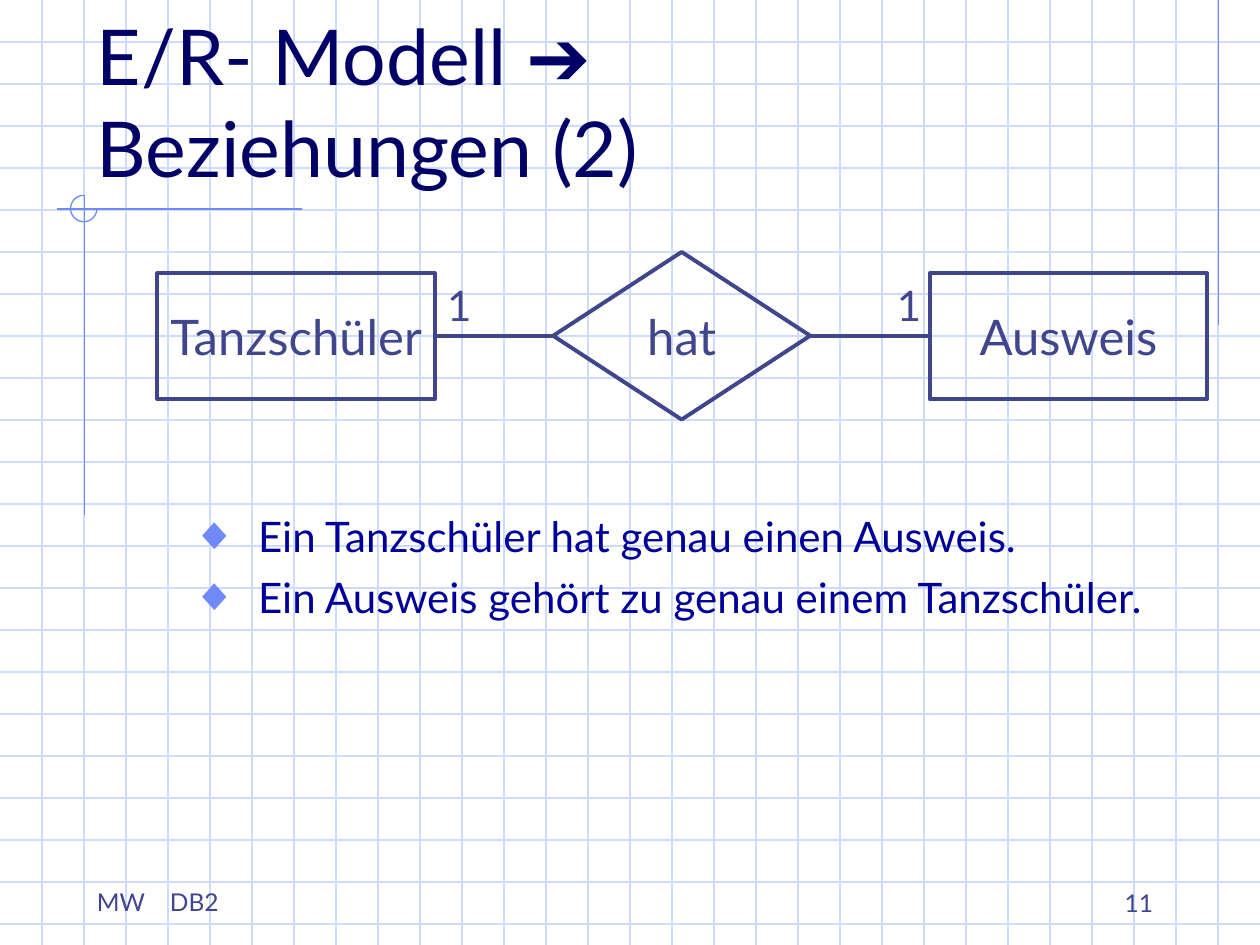
"""Build a slide on a one-to-one relationship in the E/R model."""
import pptx
import pptx.util
import pptx.dml.color
import pptx.enum.shapes
import pptx.enum.text
import pptx.oxml
import pptx.oxml.ns

Inches = pptx.util.Inches
Pt = pptx.util.Pt
RGBColor = pptx.dml.color.RGBColor
Kind = pptx.enum.shapes.MSO_SHAPE
Align = pptx.enum.text.PP_ALIGN
Anchor = pptx.enum.text.MSO_ANCHOR
NS = pptx.oxml.ns.nsdecls("a")

GRID = RGBColor(0xCF, 0xDB, 0xFD)
ACCENT = RGBColor(0x6F, 0x89, 0xF7)
INK = RGBColor(0x40, 0x45, 0x8C)
TITLE = RGBColor(0x00, 0x00, 0x66)
BODY = RGBColor(0x00, 0x00, 0x99)

deck = pptx.Presentation()
deck.slide_width, deck.slide_height = Inches(10), Inches(7.5)
slide = deck.slides.add_slide(deck.slide_layouts[6])
shapes = slide.shapes


def draw(x1, y1, x2, y2, color, width=0.75):
    line = shapes.add_connector(
        pptx.enum.shapes.MSO_CONNECTOR.STRAIGHT,
        Inches(x1), Inches(y1), Inches(x2), Inches(y2))
    line.line.color.rgb = color
    line.line.width = Pt(width)
    line._element.spPr.append(pptx.oxml.parse_xml(f"<a:effectLst {NS}/>"))


def write(shape, lines, size, color, align=Align.LEFT, **frame):
    for key, value in frame.items():
        setattr(shape.text_frame, key, value)
    for i, text in enumerate(lines):
        para = (shape.text_frame.add_paragraph() if i
                else shape.text_frame.paragraphs[0])
        para.text = text
        para.alignment = align
        for run in para.runs:
            style = {"name": "Lato", "size": Pt(size)}
            for key, value in style.items():
                setattr(run.font, key, value)
            run.font.color.rgb = color
    return shape.text_frame.paragraphs


for row in range(1, 23):
    draw(0, row / 3, 10, row / 3, GRID)
for col in range(1, 30):
    draw(col / 3, 0, col / 3, 7.5, GRID)

for ends in [(9.67, 0, 9.67, 2.58), (2.4, 1.66, 0.45, 1.66),
             (0.67, 1.55, 0.67, 4.09)]:
    draw(*ends, ACCENT)
arc = shapes.add_shape(
    Kind.ARC, Inches(0.56), Inches(1.55), Inches(0.21), Inches(0.21))
arc.adjustments[0], arc.adjustments[1] = 0, 162
arc.shadow.inherit = False
arc.fill.background()
arc.line.color.rgb = ACCENT
arc.line.width = Pt(0.75)

foot = shapes.add_textbox(
    Inches(0.67), Inches(6.99), Inches(2.25), Inches(0.34))
paras = write(foot, ["MW\tDB2"], 14, INK, word_wrap=True)
paras[0]._p.get_or_add_pPr().append(pptx.oxml.parse_xml(
    f'<a:tabLst {NS}><a:tab pos="{Inches(0.58)}" algn="l"/></a:tabLst>'))

head = shapes.add_textbox(
    Inches(0.67), Inches(0.33), Inches(8.5), Inches(1.25))
paras = write(head, ["E/R- Modell "], 44, TITLE,
              word_wrap=True, vertical_anchor=Anchor.BOTTOM)
for text, face in [("➔", "Arial"), ("Beziehungen (2)", "Lato")]:
    if face == "Lato":
        paras[0].add_line_break()
    run = paras[0].add_run()
    run.text = text
    for key, value in {"name": face, "size": Pt(44)}.items():
        setattr(run.font, key, value)
    run.font.color.rgb = TITLE

body = shapes.add_textbox(
    Inches(1.42), Inches(4), Inches(8.17), Inches(2.67))
facts = ["Ein Tanzschüler hat genau einen Ausweis.",
         "Ein Ausweis gehört zu genau einem Tanzschüler."]
for para in write(body, facts, 24, BODY, word_wrap=True):
    para.space_before = Pt(6)
    props = para._p.get_or_add_pPr()
    props.set("marL", str(Inches(0.53)))
    props.set("indent", str(-Inches(0.53)))
    for xml in [f'<a:buClr {NS}><a:srgbClr val="{ACCENT}"/></a:buClr>',
                f'<a:buSzPct {NS} val="110000"/>',
                f'<a:buFont {NS} typeface="Arial"/>',
                f'<a:buChar {NS} char="◆"/>']:
        props.append(pptx.oxml.parse_xml(xml))

for kind, text, left, top, width, height in [
        (Kind.DIAMOND, "hat", 4.39, 2, 2.04, 1.33),
        (Kind.RECTANGLE, "Tanzschüler", 1.25, 2.17, 2.2, 1),
        (Kind.RECTANGLE, "Ausweis", 7.38, 2.17, 2.2, 1)]:
    node = shapes.add_shape(
        kind, Inches(left), Inches(top), Inches(width), Inches(height))
    node.shadow.inherit = False
    node.fill.background()
    node.line.color.rgb = INK
    node.line.width = Pt(2.25)
    write(node, [text], 28, INK, Align.CENTER,
          word_wrap=False, vertical_anchor=Anchor.MIDDLE)

for start, end in [(4.39, 3.45), (7.38, 6.44)]:
    draw(start, 2.67, end, 2.67, INK, 2.25)
for left in (3.45, 7.02):
    count = shapes.add_textbox(
        Inches(left), Inches(2.17), Inches(0.39), Inches(0.5))
    write(count, ["1"], 24, INK, word_wrap=False)

page = shapes.add_textbox(
    Inches(7.17), Inches(6.83), Inches(2.08), Inches(0.5))
write(page, ["11"], 14, INK, Align.RIGHT,
      word_wrap=True, vertical_anchor=Anchor.BOTTOM)

deck.save("out.pptx")
